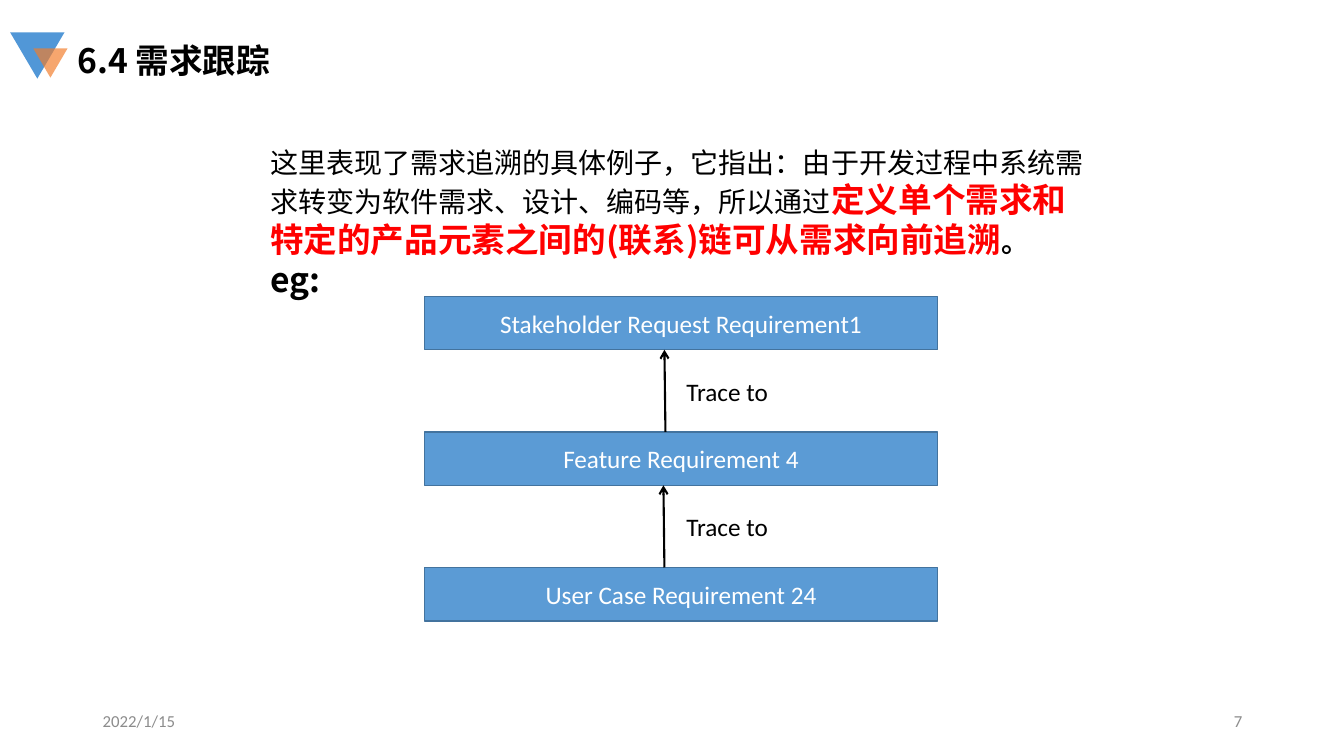
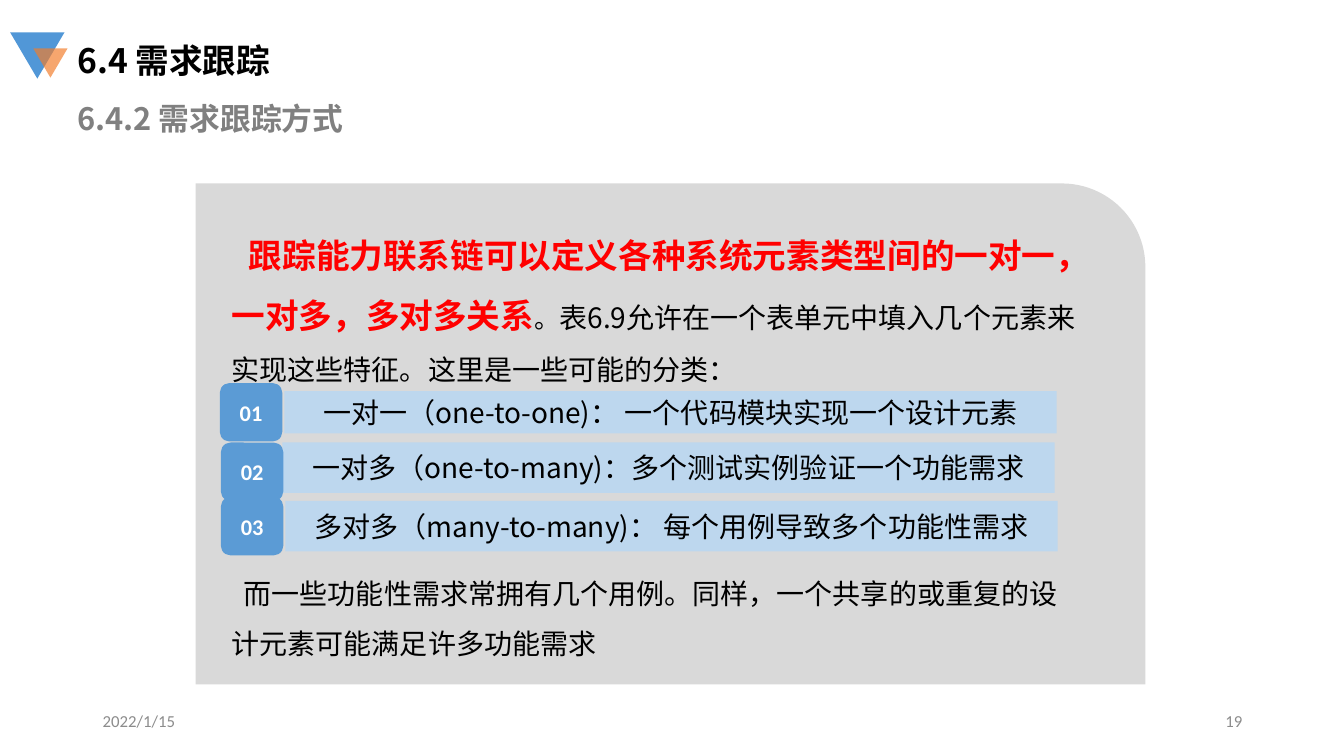
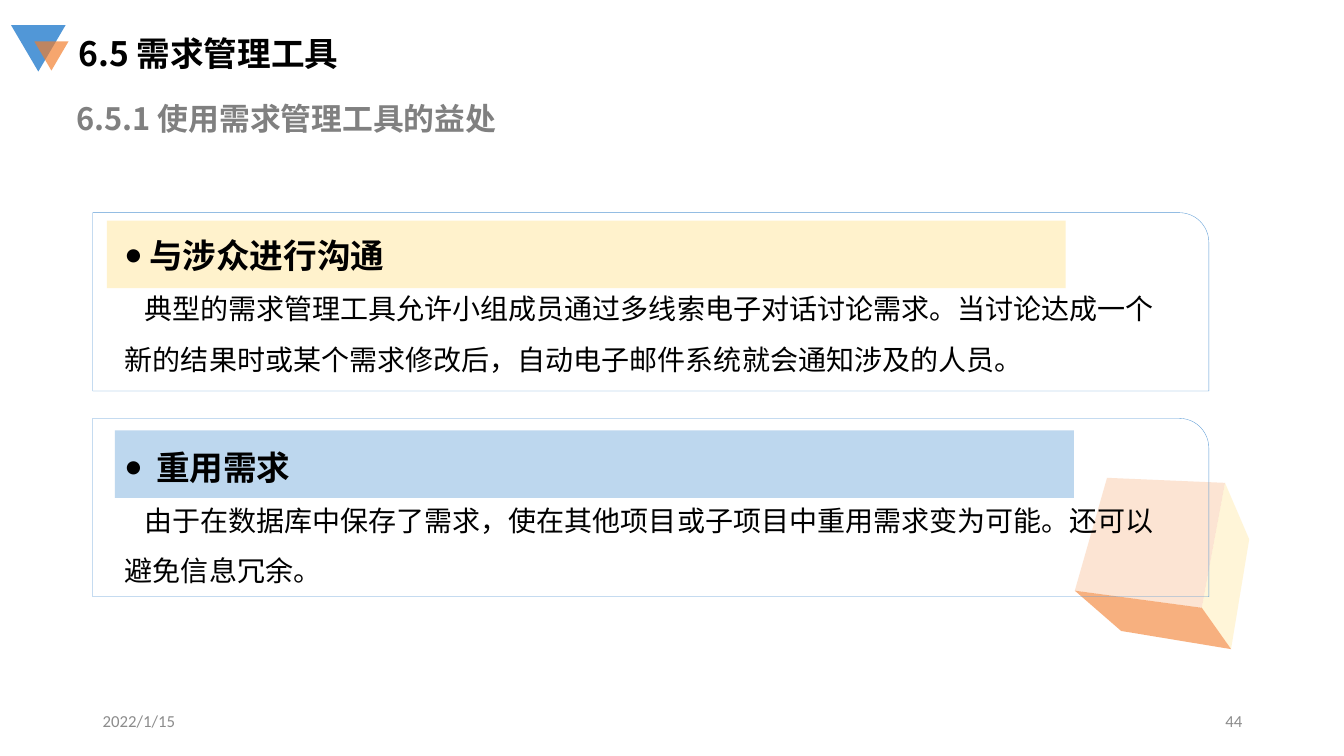
from dataclasses import dataclass
from typing import NamedTuple

from lxml.etree import SubElement
from pptx import Presentation
from pptx.dml.color import RGBColor
from pptx.enum.shapes import MSO_CONNECTOR as Connector, MSO_SHAPE as Preset
from pptx.enum.text import MSO_ANCHOR as Anchor, MSO_AUTO_SIZE as AutoSize, PP_ALIGN as Align
from pptx.oxml.ns import qn
from pptx.util import Inches, Pt

HAN = "Noto Sans CJK SC"
LATIN = "Calibri"
BLACK, WHITE, RED = "000000", "FFFFFF", "FF0000"
BLUE, BLUE_EDGE, PALE_BLUE = "5B9BD5", "43739E", "BDD7EE"
GREY, SUBTITLE_GREY, FOOTER_GREY = "D9D9D9", "808080", "8C8C8C"


class Area(NamedTuple):
    left: float
    top: float
    width: float
    height: float


@dataclass(frozen=True)
class Span:
    text: str
    size: float = 20
    bold: bool = False
    color: str = BLACK
    font: str = HAN


@dataclass(frozen=True)
class Para:
    spans: tuple[Span, ...]
    align: Align = Align.LEFT
    spacing: float = 1.0
    margin: float = 0
    indent: float = 0
    bullet: str = ""


class Relation(NamedTuple):
    number: str
    text: str
    band: Area
    badge: Area


class Card(NamedTuple):
    outline_top: float
    text_top: float
    band: Area
    band_color: str
    heading: str
    heading_margin: float
    body: str


class Face(NamedTuple):
    color: str
    opacity: int
    points: tuple[tuple[float, float], ...]


RELATIONS = (
    Relation("01", "一对一（one-to-one)： 一个代码模块实现一个设计元素",
             Area(2.82, 3.88, 7.66, 0.42), Area(2.18, 3.8, 0.62, 0.58)),
    Relation("02", "一对多（one-to-many)：多个测试实例验证一个功能需求",
             Area(2.8, 4.39, 7.66, 0.5), Area(2.19, 4.39, 0.62, 0.58)),
    Relation("03", "多对多（many-to-many)： 每个用例导致多个功能性需求",
             Area(2.83, 4.97, 7.66, 0.5), Area(2.19, 4.93, 0.62, 0.58)),
)
CARDS = (
    Card(2.11, 2.08, Area(1.06, 2.19, 9.51, 0.67), "FFF2CC", "与涉众进行沟通", 0.24,
         "典型的需求管理工具允许小组成员通过多线索电子对话讨论需求。"
         "当讨论达成一个新的结果时或某个需求修改后，自动电子邮件系统就会通知涉及的人员。"),
    Card(4.15, 4.18, Area(1.14, 4.27, 9.51, 0.67), PALE_BLUE, "重用需求", 0.31,
         "由于在数据库中保存了需求，使在其他项目或子项目中重用需求变为可能。还可以避免信息冗余。"),
)
CUBE = (
    Face("F7A76E", 30, ((11.92, 6.03), (10.66, 5.86), (10.98, 4.74), (12.15, 4.79))),
    Face("FFECB3", 50, ((12.21, 6.44), (11.92, 6.03), (12.15, 4.79), (12.39, 5.35))),
    Face("F58F49", 70, ((12.21, 6.44), (11.12, 6.26), (10.66, 5.86), (11.92, 6.03))),
)


def rgb(color: str) -> RGBColor:
    return RGBColor.from_string(color)


def place(area: Area) -> tuple:
    return tuple(Inches(length) for length in area)


def write(frame, paras: tuple[Para, ...], anchor=Anchor.TOP, wrap=True) -> None:
    frame.word_wrap = wrap
    frame.vertical_anchor = anchor
    for index, para in enumerate(paras):
        paragraph = frame.add_paragraph() if index else frame.paragraphs[0]
        for name, value in {"alignment": para.align, "line_spacing": para.spacing}.items():
            setattr(paragraph, name, value)
        properties = paragraph._p.get_or_add_pPr()
        properties.set("marL", str(Inches(para.margin)))
        properties.set("indent", str(Inches(para.indent)))
        if para.bullet:
            SubElement(properties, qn("a:buSzPct"), val="85000")
            SubElement(properties, qn("a:buFont"), typeface=LATIN)
            SubElement(properties, qn("a:buChar"), char=para.bullet)
        for span in para.spans:
            run = paragraph.add_run()
            run.text = span.text
            formats = {"size": Pt(span.size), "bold": span.bold, "name": span.font}
            for name, value in formats.items():
                setattr(run.font, name, value)
            run.font.color.rgb = rgb(span.color)
            SubElement(run._r.get_or_add_rPr(), qn("a:ea"), typeface=span.font)


def add_text(page, area: Area, *paras: Para, anchor=Anchor.TOP, grow=True) -> None:
    box = page.shapes.add_textbox(*place(area))
    write(box.text_frame, paras, anchor)
    if grow:
        box.text_frame.auto_size = AutoSize.SHAPE_TO_FIT_TEXT


def paint(shape, fill: str = "", opacity: int = 100, line: str = "", width: float = 1) -> None:
    shape.shadow.inherit = False
    if fill:
        shape.fill.solid()
        shape.fill.fore_color.rgb = rgb(fill)
        if opacity < 100:
            color = shape._element.spPr.find(".//" + qn("a:srgbClr"))
            SubElement(color, qn("a:alpha"), val=str(opacity * 1000))
    else:
        shape.fill.background()
    if line:
        shape.line.color.rgb = rgb(line)
        shape.line.width = Pt(width)
    else:
        shape.line.fill.background()


def add_block(page, preset, area: Area, span: Span | None = None, wrap=True, **style):
    shape = page.shapes.add_shape(preset, *place(area))
    paint(shape, **style)
    if span:
        write(shape.text_frame, (Para((span,), Align.CENTER),), Anchor.MIDDLE, wrap)
    return shape


def add_arrow(page, start: tuple[float, float], end: tuple[float, float]) -> None:
    arrow = page.shapes.add_connector(
        Connector.STRAIGHT, *(Inches(length) for length in start + end))
    arrow.line.color.rgb = rgb(BLACK)
    arrow.line.width = Pt(1.5)
    SubElement(arrow.line._get_or_add_ln(), qn("a:tailEnd"), type="arrow")
    SubElement(arrow._element.spPr, qn("a:effectLst"))


def add_face(page, face: Face) -> None:
    points = [(Inches(x), Inches(y)) for x, y in face.points]
    builder = page.shapes.build_freeform(*points[0])
    builder.add_line_segments(points[1:], close=True)
    paint(builder.convert_to_shape(), face.color, face.opacity)


def add_page(deck, number: str, title: str, subtitle: str = "",
             left: float = 0.1, top: float = 0.32, subtitle_left: float = 0.67):
    page = deck.slides.add_slide(deck.slide_layouts[6])
    large = Area(left, top, 0.54, 0.46)
    small = Area(left + 0.23, top + 0.16, 0.34, 0.29)
    for area, color, opacity in ((large, "5197D7", 100), (small, "F37D2A", 68)):
        triangle = add_block(page, Preset.ISOSCELES_TRIANGLE, area, fill=color, opacity=opacity)
        triangle.rotation = 180
    add_text(page, Area(left + 0.57, top + 0.03, 3.35, 0.5), Para((Span(title, 24, True),)))
    if subtitle:
        add_text(page, Area(subtitle_left, 0.94, 6.81, 0.47),
                 Para((Span(subtitle, 22, True, SUBTITLE_GREY),)))
    for x, text, align in ((0.92, "2022/1/15", Align.LEFT), (9.42, number, Align.RIGHT)):
        add_text(page, Area(x, 6.95, 3, 0.4),
                 Para((Span(text, 12, color=FOOTER_GREY, font=LATIN),), align),
                 anchor=Anchor.MIDDLE, grow=False)
    return page


def build_trace_example(deck) -> None:
    page = add_page(deck, "7", "6.4 需求跟踪")
    add_text(
        page, Area(2.58, 1.39, 8.34, 1.65),
        Para((
            Span("这里表现了需求追溯的具体例子，它指出：由于开发过程中系统需求转变为软件需求、"
                 "设计、编码等，所以通过"),
            Span("定义单个需求和特定的产品元素之间的(联系)链可从需求向前追溯", 24, True, RED),
            Span("。", bold=True),
        )),
        Para((Span("eg:", 24, True),)),
    )
    names = ("Stakeholder Request Requirement1", "Feature Requirement 4",
             "User Case Requirement 24")
    first_top, pitch, height = 2.94, 1.345, 0.53
    for index, name in enumerate(names):
        top = first_top + pitch * index
        add_block(page, Preset.RECTANGLE, Area(4.21, top, 5.09, height),
                  Span(name, 18, color=WHITE, font=LATIN), fill=BLUE, line=BLUE_EDGE)
        if index:
            upper_bottom = top - pitch + height
            x = 6.61 - 0.01 * index
            add_arrow(page, (x, top), (x - 0.01, upper_bottom))
            add_text(page, Area(6.71, upper_bottom + 0.21, 3.24, 0.4),
                     Para((Span("Trace to", 18, font=LATIN),)))


def build_relations(deck) -> None:
    page = add_page(deck, "19", "6.4 需求跟踪", "6.4.2 需求跟踪方式")
    add_block(page, Preset.ROUND_1_RECTANGLE, Area(1.94, 1.82, 9.42, 4.97), fill=GREY)
    for relation in RELATIONS:
        add_block(page, Preset.RECTANGLE, relation.band, Span(relation.text), fill=PALE_BLUE)
    for relation in RELATIONS:
        add_block(page, Preset.ROUNDED_RECTANGLE, relation.badge,
                  Span(relation.number, 16, True, WHITE, LATIN), wrap=False, fill=BLUE)
    add_text(page, Area(2.2, 2.08, 8.8, 1.82), Para((
        Span("跟踪能力联系链可以定义各种系统元素类型间的一对一，一对多，多对多关系", 24, True, RED),
        Span("。", 18),
        Span("表6.9允许在一个表单元中填入几个元素来实现这些特征。这里是一些可能的分类："),
    ), spacing=1.5, indent=0.17))
    add_text(page, Area(2.2, 5.5, 8.47, 1.11), Para((
        Span("而一些功能性需求常拥有几个用例。同样，一个共享的或重复的设计元素可能满足许多功能需求"),
    ), spacing=1.5, indent=0.12))


def build_tool_benefits(deck) -> None:
    page = add_page(deck, "44", "6.5 需求管理工具", "6.5.1 使用需求管理工具的益处",
                    left=0.11, top=0.25, subtitle_left=0.66)
    for card in CARDS:
        add_block(page, Preset.RECTANGLE, card.band, fill=card.band_color)
    for face in CUBE:
        add_face(page, face)
    for card in CARDS:
        add_text(
            page, Area(1.14, card.text_top, 10.49, 1.74),
            Para((Span(card.heading, 24, True),), spacing=1.5,
                 margin=card.heading_margin, indent=-card.heading_margin, bullet="●"),
            Para((Span(card.body),), spacing=1.5, indent=0.19),
        )
        add_block(page, Preset.ROUND_1_RECTANGLE, Area(0.92, card.outline_top, 11.07, 1.77),
                  line=BLUE, width=0.25)


def main() -> None:
    deck = Presentation()
    deck.slide_width, deck.slide_height = Inches(13.33), Inches(7.5)
    build_trace_example(deck)
    build_relations(deck)
    build_tool_benefits(deck)
    deck.save("out.pptx")


if __name__ == "__main__":
    main()
